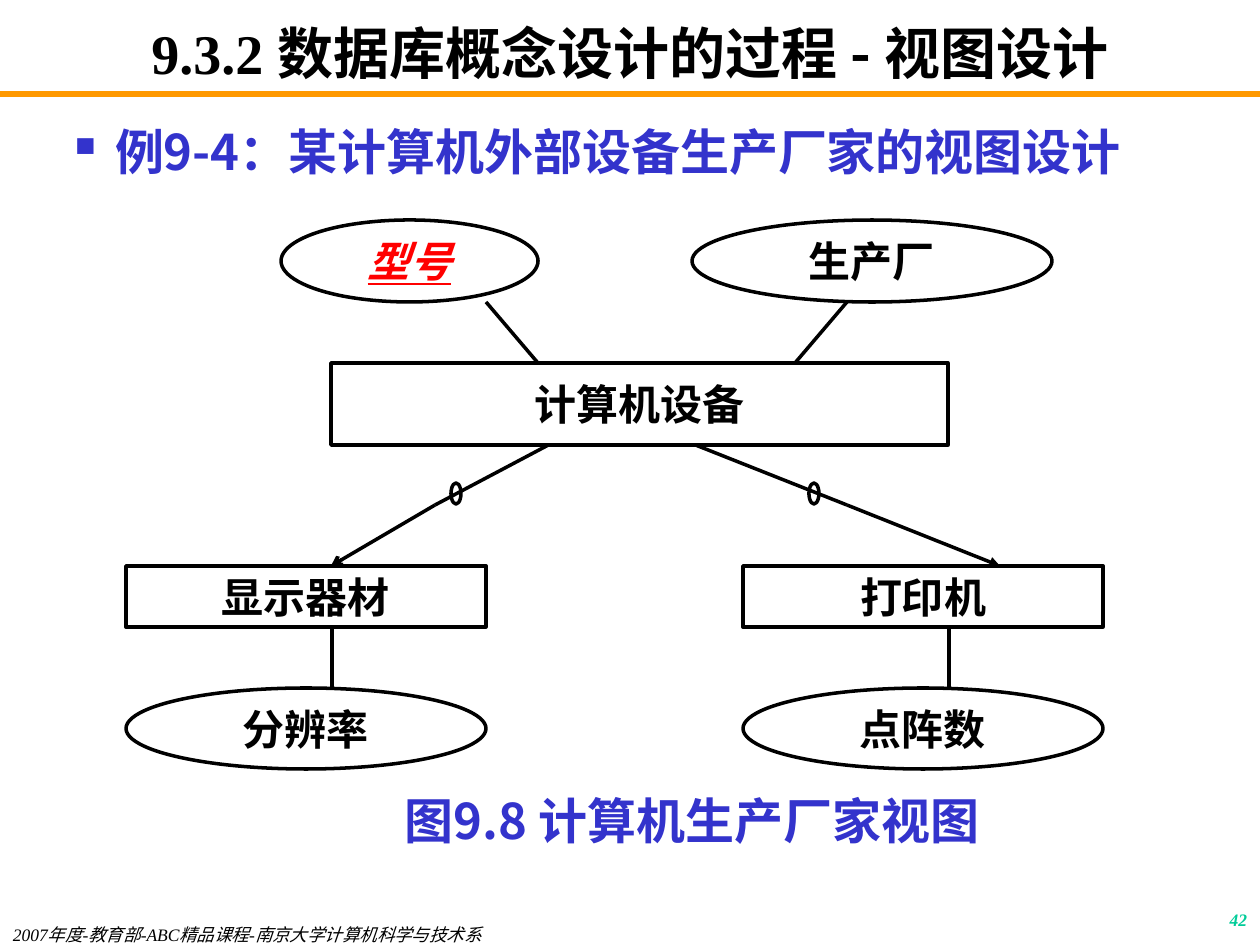
"""Build the slide on view design for a maker of computer devices."""
from lxml.etree import SubElement
from pptx import Presentation
from pptx.dml.color import RGBColor
from pptx.enum.shapes import MSO_CONNECTOR as Link, MSO_SHAPE as Kind
from pptx.enum.text import MSO_ANCHOR as Anchor, PP_ALIGN as Align
from pptx.oxml.ns import qn
from pptx.util import Emu, Pt

SCALE = 914400 / 126
SERIF, SANS = "Times New Roman", "Noto Sans CJK SC"
BLACK, BLUE, RED = "000000", "3333CC", "FF0000"


def px(*vals):
    return [Emu(round(val * SCALE)) for val in vals]


def tint(code):
    return RGBColor.from_string(code)


def face(font, name):
    font.name = name
    SubElement(font._element, qn("a:ea"), typeface=SANS)


def write(shape, runs, size, name=SERIF, color=BLACK, bold=True, italic=False,
          line=False, align=Align.CENTER, anchor=Anchor.MIDDLE, pad=1, bullet=None):
    frame = shape.text_frame
    frame.word_wrap = True
    frame.vertical_anchor = anchor
    frame.margin_left, frame.margin_right = px(13, 13)
    frame.margin_top, frame.margin_bottom = px(pad, pad)
    para = frame.paragraphs[0]
    para.alignment = align
    if bullet:
        props = para._p.get_or_add_pPr()
        hang = px(48)[0]
        props.set("marL", str(hang))
        props.set("indent", str(-hang))
        SubElement(props, qn("a:buChar"), char=bullet)
    font = para.font
    font.size, font.bold, font.italic = Pt(size), bold, italic
    font.underline = line
    font.color.rgb = tint(color)
    if isinstance(runs, str):
        para.add_run().text = runs
        face(font, name)
        return
    for words, kind in runs:
        run = para.add_run()
        run.text = words
        face(run.font, kind)


def label(slide, box, runs, size, **style):
    write(slide.shapes.add_textbox(*px(*box)), runs, size, **style)


def node(slide, kind, box, words=None, **style):
    shape = slide.shapes.add_shape(kind, *px(*box))
    shape.shadow.inherit = False
    shape.line.color.rgb = tint(BLACK)
    shape.line.width = Pt(2)
    if words:
        shape.fill.solid()
        shape.fill.fore_color.rgb = tint("FFFFFF")
        write(shape, words, 24, **style)
    else:
        shape.fill.background()


def link(slide, ends, color=BLACK, width=2, head=None):
    wire = slide.shapes.add_connector(Link.STRAIGHT, *px(*ends))
    wire.line.color.rgb = tint(color)
    wire.line.width = Pt(width)
    if head:
        SubElement(wire.line._get_or_add_ln(), qn("a:tailEnd"), type=head)
    SubElement(wire._element.spPr, qn("a:effectLst"))


def frame(slide):
    link(slide, (0, 94, 1260, 94), "FF9900", 3)
    label(slide, (998, 903, 262, 42), "42", 10, color="00CC99", italic=True,
          align=Align.RIGHT, anchor=Anchor.TOP, pad=6)
    label(slide, (0, 924, 693, 21),
          "2007年度-教育部-ABC精品课程-南京大学计算机科学与技术系", 10,
          bold=False, italic=True, align=Align.LEFT, anchor=Anchor.TOP, pad=0)
    label(slide, (94, 21, 1072, 63),
          [("9.3.2 ", SERIF), ("数据库概念设计的过程 - 视图设计", SANS)], 32, pad=0)
    label(slide, (54, 116, 1166, 105), "例9-4：某计算机外部设备生产厂家的视图设计", 28,
          name=SANS, color=BLUE, align=Align.LEFT, anchor=Anchor.TOP, pad=6, bullet="▪")


def chart(slide):
    for ends in ((486, 302, 538, 363), (847, 302, 795, 363)):
        link(slide, ends)
    node(slide, Kind.OVAL, (281, 220, 257, 82), "型号", color=RED, italic=True, line=True)
    node(slide, Kind.OVAL, (692, 220, 360, 82), "生产厂")
    parts = (
        (126, "显示器材", "分辨率", 590, 435, 331, "arrow", 451),
        (743, "打印机", "点阵数", 640, 847, 1000, "triangle", 809),
    )
    for left, part, trait, start, bend, end, head, ring in parts:
        link(slide, (start, 423, bend, 505))
        link(slide, (bend, 505, end, 566), head=head)
        link(slide, (left + 206, 627, left + 206, 688))
        node(slide, Kind.RECTANGLE, (left, 566, 360, 61), part)
        node(slide, Kind.OVAL, (left, 688, 360, 81), trait)
        node(slide, Kind.OVAL, (ring, 483, 10, 21))
    node(slide, Kind.RECTANGLE, (331, 363, 617, 82), "计算机设备")
    label(slide, (229, 790, 926, 60), "图9.8 计算机生产厂家视图", 28, name=SANS, color=BLUE)


def main():
    deck = Presentation()
    deck.slide_width, deck.slide_height = px(1260, 945)
    slide = deck.slides.add_slide(deck.slide_layouts[6])
    frame(slide)
    chart(slide)
    deck.save("out.pptx")


if __name__ == "__main__":
    main()
